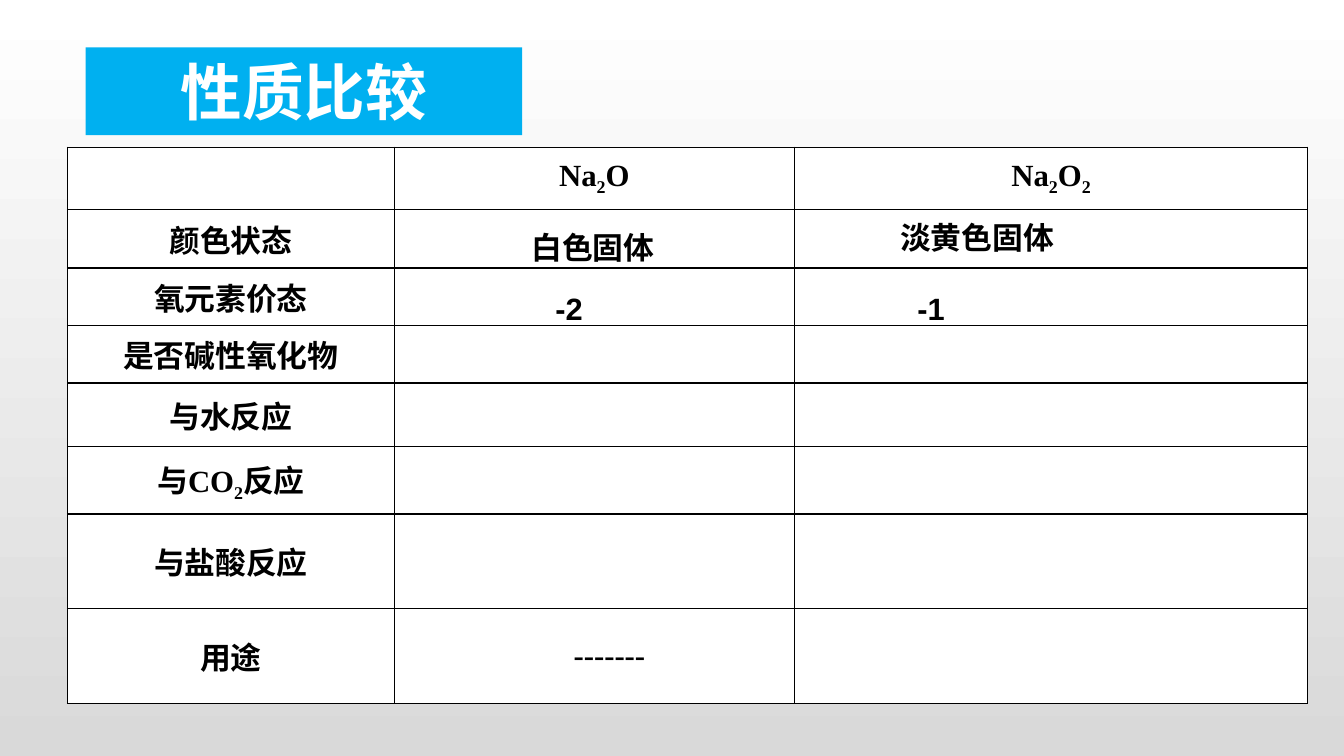
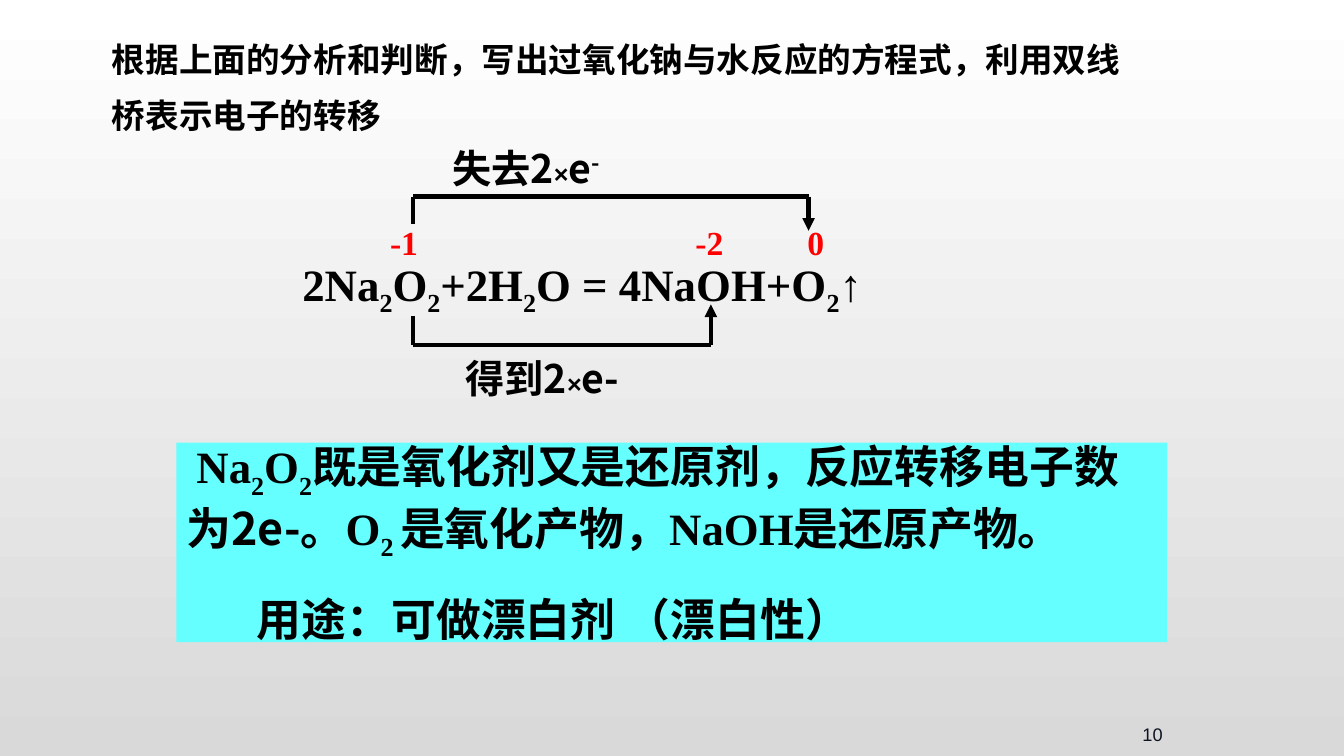
from dataclasses import dataclass
from typing import Any

from lxml.etree import SubElement
from pptx import Presentation
from pptx.dml.color import RGBColor
from pptx.enum.shapes import MSO_CONNECTOR, MSO_SHAPE
from pptx.enum.text import MSO_ANCHOR, MSO_AUTO_SIZE, PP_ALIGN
from pptx.oxml.ns import qn
from pptx.util import Inches, Pt

SANS, BOLD = "Noto Sans CJK SC", "Noto Sans CJK JP"
SERIF, ARIAL = "Times New Roman", "Arial"
BLACK, WHITE, RED = "000000", "FFFFFF", "FF0000"
BLUE, CYAN, GREY, INK = "00B0F0", "66FFFF", "D9D9D9", "0F1423"
LEFT, MID, RIGHT = PP_ALIGN.LEFT, PP_ALIGN.CENTER, PP_ALIGN.RIGHT


@dataclass
class Run:
    """A stretch of text in one style."""
    text: str
    font: str = SANS
    size: float = 22
    color: str = BLACK
    bold: bool = True
    base: int = 0


@dataclass
class Box:
    """A text box holding one line."""
    left: float
    top: float
    width: float
    height: float
    runs: list[Run]
    align: PP_ALIGN = LEFT


@dataclass
class Bridge:
    """An electron bridge from one element to another."""
    start: float
    end: float
    foot: float
    bar: float
    tip: float


def paint(color: str) -> RGBColor:
    """Turn a hex string into a colour."""
    return RGBColor.from_string(color)


def chem(text: str, size: float = 22) -> list[Run]:
    """Split a formula into runs, lowering each character after an underscore."""
    head, *rest = text.split("_")
    runs = [Run(head, SERIF, size)]
    for part in rest:
        runs.append(Run(part[0], SERIF, size, base=-25))
        if part[1:]:
            runs.append(Run(part[1:], SERIF, size))
    return runs


def write(para: Any, runs: list[Run], align: PP_ALIGN = LEFT) -> None:
    """Fill a paragraph with styled runs."""
    para.alignment = align
    for item in runs:
        run = para.add_run()
        run.text = item.text
        font = run.font
        font.size, font.bold, font.name = Pt(item.size), item.bold, item.font
        font.color.rgb = paint(item.color)
        east = item.font if item.font == BOLD else SANS
        SubElement(font._element, qn("a:ea")).set("typeface", east)
        if item.base:
            font._element.set("baseline", str(item.base * 1000))


def place(shape: Any, left: float, top: float, width: float, height: float) -> None:
    """Set the place and size of a shape."""
    shape.left, shape.top = Inches(left), Inches(top)
    shape.width, shape.height = Inches(width), Inches(height)


def setup(frame: Any, anchor: MSO_ANCHOR = MSO_ANCHOR.MIDDLE) -> None:
    """Wrap a text frame and anchor it."""
    frame.word_wrap = True
    frame.auto_size = MSO_AUTO_SIZE.NONE
    frame.vertical_anchor = anchor


def label(slide: Any, box: Box) -> None:
    """Draw a text box."""
    shape = slide.shapes.add_textbox(0, 0, 0, 0)
    place(shape, box.left, box.top, box.width, box.height)
    setup(shape.text_frame)
    write(shape.text_frame.paragraphs[0], box.runs, box.align)


def line(slide: Any, start: tuple[float, float], end: tuple[float, float],
         arrow: bool = False) -> None:
    """Draw a straight line with an optional arrowhead."""
    wire = slide.shapes.add_connector(
        MSO_CONNECTOR.STRAIGHT, *map(Inches, start + end))
    wire.line.color.rgb = paint(BLACK)
    wire.line.width = Pt(3)
    if arrow:
        SubElement(wire.line._get_or_add_ln(), qn("a:tailEnd")).set("type", "triangle")
    SubElement(wire._element.spPr, qn("a:effectLst"))


def span(slide: Any, item: Bridge) -> None:
    """Draw the three lines of a bridge."""
    near, far = (item.start, item.bar), (item.end, item.bar)
    line(slide, (item.start, item.foot), near)
    line(slide, near, far)
    line(slide, far, (item.end, item.tip), True)


def edge(cell: Any) -> None:
    """Give a cell its white fill and thin black border."""
    props = cell._tc.get_or_add_tcPr()
    for side in ("a:lnL", "a:lnR", "a:lnT", "a:lnB"):
        rule = SubElement(props, qn(side), w=str(Pt(1)))
        fill = SubElement(rule, qn("a:solidFill"))
        SubElement(fill, qn("a:srgbClr")).set("val", BLACK)
    cell.fill.solid()
    cell.fill.fore_color.rgb = paint(WHITE)


def grid(slide: Any) -> None:
    """Draw the table of properties."""
    cols = [3.24, 3.97, 5.09]
    rows = [0.62, 0.58, 0.57, 0.57, 0.63, 0.67, 0.94, 0.94]
    heads = ["颜色状态", "氧元素价态", "是否碱性氧化物", "与水反应",
             "与CO_2反应", "与盐酸反应", "用途"]
    texts = {(0, 1): "Na_2O", (0, 2): "Na_2O_2", (7, 1): "-------"}
    texts |= {(row, 0): text for row, text in enumerate(heads, 1)}
    frame = slide.shapes.add_table(len(rows), len(cols), 0, 0, 0, 0)
    place(frame, 0.67, 1.46, sum(cols), sum(rows))
    table = frame.table
    table.first_row = table.horz_banding = False
    for col, width in zip(table.columns, cols):
        col.width = Inches(width)
    for row, height in zip(table.rows, rows):
        row.height = Inches(height)
    for row in range(len(rows)):
        for col in range(len(cols)):
            cell = table.cell(row, col)
            edge(cell)
            cell.vertical_anchor = MSO_ANCHOR.MIDDLE
            if (row, col) in texts:
                write(cell.text_frame.paragraphs[0], chem(texts[row, col]), MID)
    table.cell(7, 1).margin_left = Inches(0.4)


def compare(deck: Any) -> None:
    """Build the slide that compares the oxides."""
    slide = deck.slides.add_slide(deck.slide_layouts[5])
    title = slide.shapes.title
    place(title, 0.85, 0.47, 4.33, 0.87)
    form = SubElement(title._element.spPr, qn("a:prstGeom"), prst="roundRect")
    SubElement(form, qn("a:avLst"))
    title.fill.solid()
    title.fill.fore_color.rgb = paint(BLUE)
    setup(title.text_frame)
    write(title.text_frame.paragraphs[0], [Run("性质比较", BOLD, 44, WHITE)], MID)
    grid(slide)
    for box in (
        Box(8.26, 2.12, 2.86, 0.47, [Run("淡黄色固体")], MID),
        Box(4.78, 2.22, 2.2, 0.47, [Run("白色固体")], MID),
        Box(5.41, 2.82, 1, 0.47, [Run("-2", ARIAL)]),
        Box(9, 2.82, 1, 0.47, [Run("-1", ARIAL)]),
    ):
        label(slide, box)


def count(verb: str, sign: Run) -> list[Run]:
    """Make the runs that tell how many electrons move."""
    return [Run(verb + "2", BOLD, 28), Run("×", ARIAL, 18), Run("e", BOLD, 28), sign]


def note(slide: Any) -> None:
    """Draw the panel that sums up the reaction."""
    panel = slide.shapes.add_shape(MSO_SHAPE.RECTANGLE, 0, 0, 0, 0)
    place(panel, 1.75, 4.39, 9.83, 1.98)
    panel.shadow.inherit = False
    panel.fill.solid()
    panel.fill.fore_color.rgb = paint(CYAN)
    panel.line.fill.background()
    frame = panel.text_frame
    setup(frame)
    result = [
        *chem("Na_2O_2", 32),
        Run("既是氧化剂又是还原剂，反应转移电子数为2e-。", size=32),
        *chem("O_2", 32), Run(" ", SERIF, 32, base=-25),
        Run("是氧化产物，", size=32), *chem("NaOH", 32),
        Run("是还原产物。", size=32),
    ]
    usage = [Run("用途：可做漂白剂 （漂白性）", ARIAL, 32)]
    paras = [frame.paragraphs[0], frame.add_paragraph()]
    for para, runs, indent in zip(paras, (result, usage), (0.1, 0.7)):
        props = para._p.get_or_add_pPr()
        props.set("marL", "0")
        props.set("indent", str(Inches(indent)))
        para.line_spacing = Pt(44)
        write(para, runs)
    paras[1].space_before = Pt(16)


def react(deck: Any) -> None:
    """Build the slide that shows the electron transfer."""
    slide = deck.slides.add_slide(deck.slide_layouts[5])
    title = slide.shapes.title
    place(title, 1.02, 0.18, 10.44, 1.3)
    frame = title.text_frame
    setup(frame, MSO_ANCHOR.TOP)
    frame.margin_left = frame.margin_right = Inches(0.09)
    para = frame.paragraphs[0]
    para.line_spacing = Pt(40)
    ask = "根据上面的分析和判断，写出过氧化钠与水反应的方程式，利用双线桥表示电子的转移"
    write(para, [Run(ask, size=24)])
    lost = count("失去", Run("-", BOLD, 28, base=30))
    gain = count("得到", Run("-", BOLD, 28))
    boxes = [
        Box(2.9, 2.49, 6, 0.71, chem("2Na_2O_2+2H_2O = 4NaOH+O_2↑", 32)),
        Box(4.39, 1.38, 6.43, 0.57, lost),
        Box(4.52, 3.46, 6.17, 0.57, gain),
        Box(8.99, 6.92, 2.64, 0.72, [Run("10", ARIAL, 13, INK, False)], RIGHT),
    ]
    for left, text in ((3.77, "-1"), (6.8, "-2"), (7.91, "0")):
        boxes.append(Box(left, 2.15, 0.6, 0.5, [Run(text, SERIF, 24, RED)]))
    for box in boxes:
        label(slide, box)
    for item in (Bridge(4.1, 8.02, 2.22, 1.95, 2.29),
                 Bridge(4.1, 7.05, 3.14, 3.42, 3.02)):
        span(slide, item)
    note(slide)


def main() -> None:
    """Build and save the deck."""
    deck = Presentation()
    deck.slide_width, deck.slide_height = Inches(13.33), Inches(7.5)
    fill = deck.slide_master.background.fill
    fill.gradient()
    fill.gradient_angle = 270
    for stop, color in zip(fill.gradient_stops, (WHITE, GREY)):
        stop.color.rgb = paint(color)
    compare(deck)
    react(deck)
    deck.save("out.pptx")


if __name__ == "__main__":
    main()
